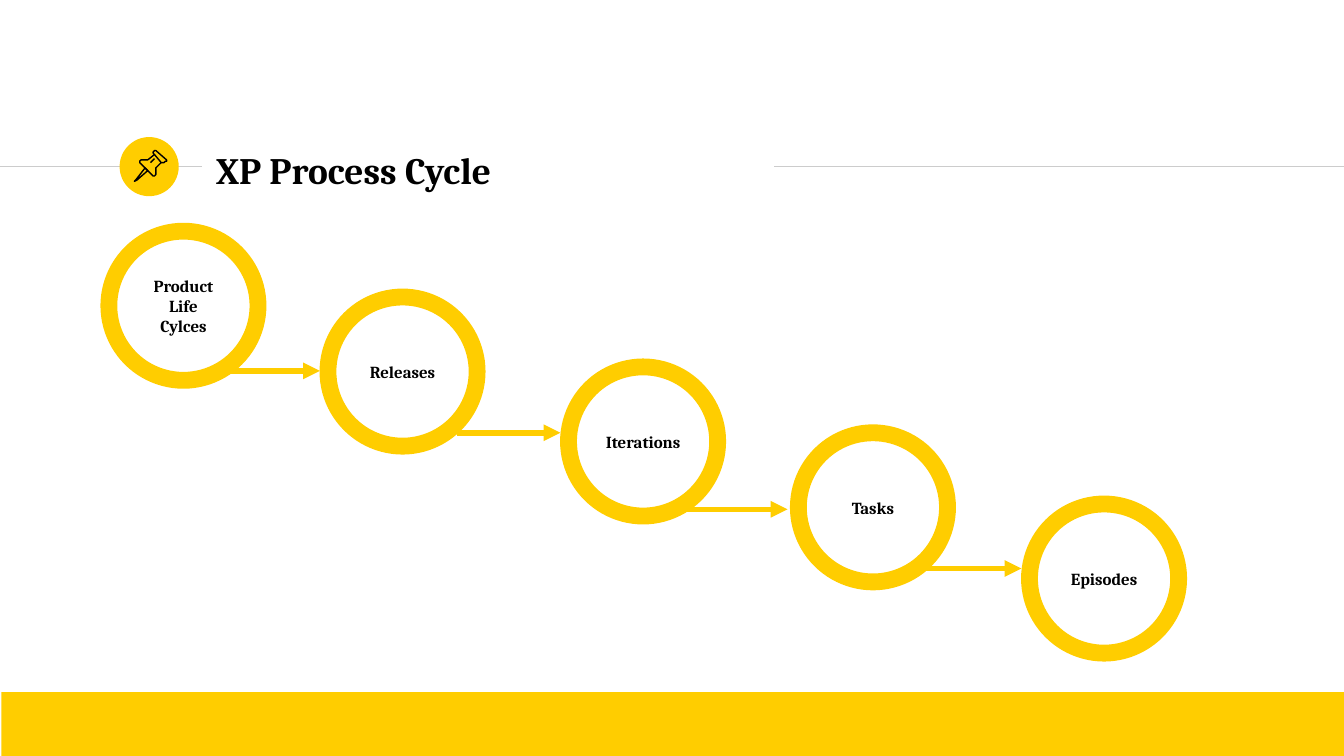
from lxml import etree
from pptx import Presentation
from pptx.dml.color import RGBColor
from pptx.enum.shapes import MSO_CONNECTOR, MSO_SHAPE
from pptx.enum.text import MSO_ANCHOR, PP_ALIGN
from pptx.oxml.ns import qn
from pptx.util import Inches, Pt

LINE = MSO_CONNECTOR.STRAIGHT
OVAL, RECT = MSO_SHAPE.OVAL, MSO_SHAPE.RECTANGLE
MIDDLE = MSO_ANCHOR.MIDDLE
LEFT, CENTER = PP_ALIGN.LEFT, PP_ALIGN.CENTER

WIDE = 10
HIGH = WIDE * 9 / 16
FONT = "Cambria"
GOLD, GREY, BLACK = "FFCD00", "CCCCCC", "000000"
RING = 1.11
RULE_Y = 1.24
BAR_X, BAR_Y = 0.01, 5.15

TITLE = "XP Process Cycle"
STEPS = [  # label, left, top
    ("Product Life Cylces", 0.81, 1.72),
    ("Releases", 2.44, 2.21),
    ("Iterations", 4.23, 2.73),
    ("Tasks", 5.94, 3.22),
    ("Episodes", 7.66, 3.75),
]
ARROWS = [  # start, end, height
    (1.63, 2.38, 2.76),
    (3.4, 4.17, 3.22),
    (5.11, 5.86, 3.79),
    (6.85, 7.6, 4.23),
]
RULES = [(0, 1.5), (5.76, WIDE)]

# Pushpin outlines in hundredths of an inch: points, closed
PIN = [
    ([(108, 125), (101, 134), (100, 135), (102, 134), (110, 127)], True),
    ([(115, 115), (120, 121), (122, 121), (123, 120), (124, 120),
      (124, 119), (116, 112), (115, 112), (114, 113), (114, 114)], True),
    ([(115, 115), (110, 119), (107, 119), (105, 119), (104, 120),
      (104, 121), (114, 131), (115, 131), (116, 130), (116, 125),
      (120, 121)], False),
    ([(112, 121), (115, 118)], False),
]


def color(code):
    return RGBColor.from_string(code)


def style(shape, fill=None, line=None, width=0.75):
    shape.shadow.inherit = False
    if fill:
        shape.fill.solid()
        shape.fill.fore_color.rgb = color(fill)
    else:
        shape.fill.background()
    if line:
        shape.line.color.rgb = color(line)
        shape.line.width = Pt(width)
    else:
        shape.line.fill.background()


def add_shape(slide, kind, box, **look):
    shape = slide.shapes.add_shape(kind, *map(Inches, box))
    style(shape, **look)
    return shape


def add_line(slide, start, end, y, code, width, arrow=False):
    line = slide.shapes.add_connector(
        LINE, Inches(start), Inches(y), Inches(end), Inches(y))
    line.line.color.rgb = color(code)
    line.line.width = Pt(width)
    if arrow:
        etree.SubElement(line.line._get_or_add_ln(), qn("a:tailEnd"),
                         type="triangle")
    etree.SubElement(line._element.spPr, qn("a:effectLst"))


def write(shape, text, size, align, side=0.1):
    """Set the text, with side as the left and right margin."""
    frame = shape.text_frame
    frame.text = text
    frame.word_wrap = True
    frame.vertical_anchor = MIDDLE
    frame.margin_left = frame.margin_right = Inches(side)
    frame.margin_top = frame.margin_bottom = Inches(0.1)
    para = frame.paragraphs[0]
    para.alignment = align
    font = para.runs[0].font
    font.name, font.size, font.bold = FONT, Pt(size), True
    font.color.rgb = color(BLACK)


def add_head(slide):
    for start, end in RULES:
        add_line(slide, start, end, RULE_Y, GREY, 0.75)
    add_shape(slide, OVAL, (0.89, 1.02, 0.44, 0.44), fill=GOLD)
    title = slide.shapes.add_textbox(
        *map(Inches, (1.51, 1.02, 4.24, 0.48)))
    write(title, TITLE, 20, LEFT)
    for points, closed in PIN:
        pen = slide.shapes.build_freeform(*points[0], scale=Inches(0.01))
        pen.add_line_segments(points[1:], close=closed)
        style(pen.convert_to_shape(), line=BLACK)


def add_cycle(slide):
    for label, x, y in STEPS:
        ring = add_shape(slide, OVAL, (x, y, RING, RING),
                         line=GOLD, width=9)
        write(ring, label, 9, CENTER, side=0.11)
    for start, end, y in ARROWS:
        add_line(slide, start, end, y, GOLD, 3, arrow=True)


def main():
    deck = Presentation()
    deck.slide_width, deck.slide_height = Inches(WIDE), Inches(HIGH)
    slide = deck.slides.add_slide(deck.slide_layouts[6])
    add_head(slide)
    add_cycle(slide)
    add_shape(slide, RECT, (BAR_X, BAR_Y, WIDE - BAR_X, HIGH - BAR_Y),
              fill=GOLD)
    deck.save("out.pptx")


if __name__ == "__main__":
    main()
